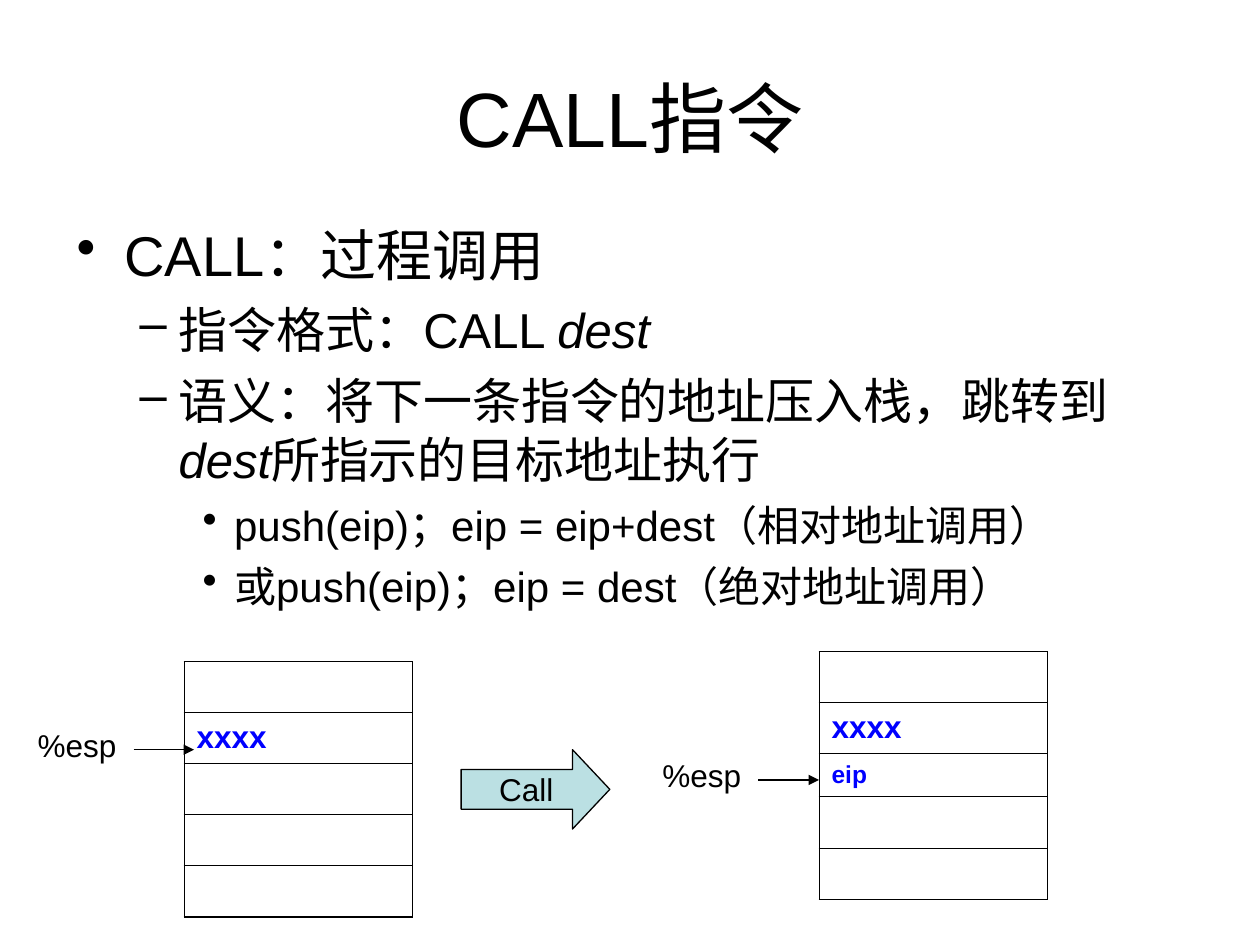
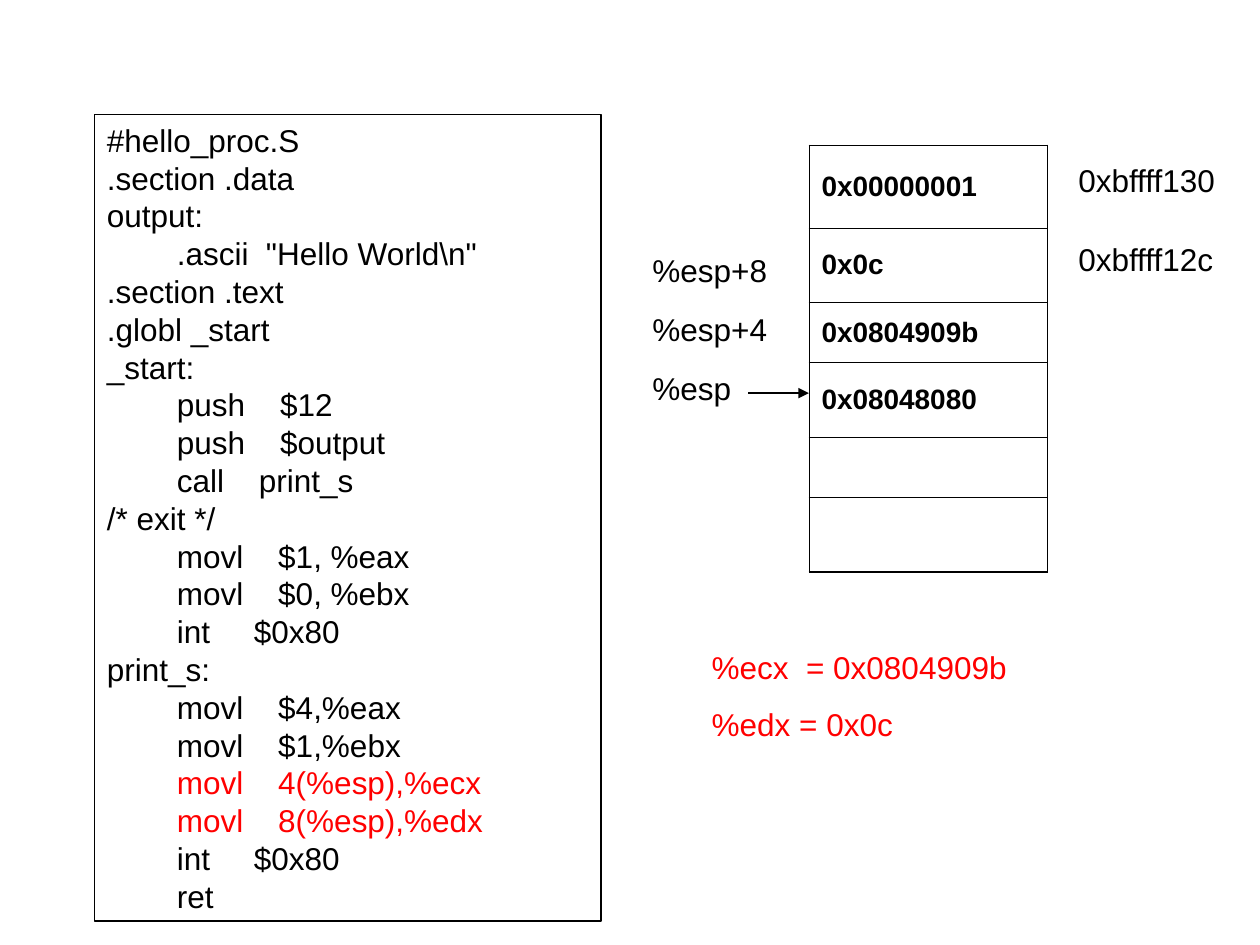
from lxml import etree
from pptx import Presentation
from pptx.dml.color import RGBColor
from pptx.enum.shapes import MSO_CONNECTOR, MSO_SHAPE
from pptx.enum.text import MSO_ANCHOR, PP_ALIGN
from pptx.oxml.ns import qn
from pptx.util import Inches, Pt

RECTANGLE = MSO_SHAPE.RECTANGLE
RIGHT_ARROW = MSO_SHAPE.RIGHT_ARROW
STRAIGHT = MSO_CONNECTOR.STRAIGHT
TOP, MIDDLE = MSO_ANCHOR.TOP, MSO_ANCHOR.MIDDLE
LEFT, CENTER = PP_ALIGN.LEFT, PP_ALIGN.CENTER

FONT = "Arial"
COLORS = {"black": "000000", "blue": "0000FF", "red": "FF0000", "arrow": "BBE0E3"}
LABEL_HEIGHT = 0.4

# Per level: bullet, left margin, hanging indent (inches), size, space before (points)
LEVELS = [("•", 0.38, 0.38, 32, 8), ("–", 0.81, 0.31, 28, 7), ("•", 1.25, 0.25, 24, 6)]

# Each bullet is a level and its runs; the operand "dest" is set in italics
CALL_BULLETS = [
    (0, ["CALL：过程调用"]),
    (1, ["指令格式：CALL ", "dest"]),
    (1, ["语义：将下一条指令的地址压入栈，跳转到", "dest", "所指示的目标地址执行"]),
    (2, ["push(eip)；eip = eip+dest（相对地址调用）"]),
    (2, ["或push(eip)；eip = dest（绝对地址调用）"]),
]

CODE = r"""#hello_proc.S
.section .data
output:
        .ascii  "Hello World\n"
.section .text
.globl _start
_start:
        push    $12
        push    $output
        call    print_s
/* exit */
        movl    $1, %eax
        movl    $0, %ebx
        int     $0x80
print_s:
        movl    $4,%eax
        movl    $1,%ebx
        movl    4(%esp),%ecx
        movl    8(%esp),%edx
        int     $0x80
        ret"""


def rgb(name):
    return RGBColor.from_string(COLORS[name])


def style(paragraph, size=18, color="black", bold=False, align=LEFT):
    paragraph.alignment = align
    font = paragraph.font
    font.name, font.size, font.bold = FONT, Pt(size), bold
    font.color.rgb = rgb(color)


def add_text(slide, left, top, width, height, lines, gap=0, anchor=TOP, **look):
    """Add a text box with one paragraph per line, gap points apart."""
    box = slide.shapes.add_textbox(Inches(left), Inches(top), Inches(width), Inches(height))
    frame = box.text_frame
    frame.word_wrap = True
    frame.vertical_anchor = anchor
    for index, line in enumerate(lines):
        paragraph = frame.add_paragraph() if index else frame.paragraphs[0]
        paragraph.text = line
        if index:
            paragraph.space_before = Pt(gap)
        style(paragraph, **look)


def add_label(slide, left, top, text, width=0.87):
    add_text(slide, left, top, width, LABEL_HEIGHT, [text])


def add_preset(slide, kind, left, top, width, height):
    shape = slide.shapes.add_shape(kind, Inches(left), Inches(top), Inches(width), Inches(height))
    shape.shadow.inherit = False
    shape.line.color.rgb = rgb("black")
    shape.line.width = Pt(0.75)
    return shape


def add_pointer(slide, left, top):
    """Add the %esp label with an arrow leading right from it."""
    add_label(slide, left, top, "%esp")
    start, y = left + 0.86, top + 0.24
    arrow = slide.shapes.add_connector(
        STRAIGHT, Inches(start), Inches(y), Inches(start + 0.48), Inches(y))
    arrow.line.color.rgb = rgb("black")
    arrow.line.width = Pt(0.75)
    etree.SubElement(arrow.line._get_or_add_ln(), qn("a:tailEnd"), type="triangle")
    etree.SubElement(arrow._element.spPr, qn("a:effectLst"))


def set_borders(cell, is_last):
    properties = cell._tc.get_or_add_tcPr()
    for index, side in enumerate(("lnL", "lnR", "lnT", "lnB")):
        width = 1.08 if is_last and side == "lnB" else 0.45
        line = etree.Element(qn(f"a:{side}"), w=str(Pt(width)))
        fill = etree.SubElement(line, qn("a:solidFill"))
        etree.SubElement(fill, qn("a:srgbClr"), val=COLORS["black"])
        properties.insert(index, line)


def add_stack(slide, left, top, width, heights, words, color):
    """Add a one-column memory stack; words maps a row to its text and size."""
    rows = len(heights)
    frame = slide.shapes.add_table(
        rows, 1, Inches(left), Inches(top), Inches(width), Inches(sum(heights)))
    table = frame.table
    table.first_row = table.horz_banding = False
    for row, height in enumerate(heights):
        table.rows[row].height = Inches(height)
        cell = table.cell(row, 0)
        cell.fill.background()
        cell.vertical_anchor = MIDDLE
        set_borders(cell, row == rows - 1)
        if row in words:
            text, size = words[row]
            paragraph = cell.text_frame.paragraphs[0]
            paragraph.text = text
            style(paragraph, size, color, bold=True)


def add_title(slide, text):
    add_text(slide, 0.5, 0.3, 9, 1.25, [text], anchor=MIDDLE, size=44, align=CENTER)


def add_bullets(slide, left, top, width, height, bullets):
    box = slide.shapes.add_textbox(Inches(left), Inches(top), Inches(width), Inches(height))
    frame = box.text_frame
    frame.word_wrap = True
    for index, (level, texts) in enumerate(bullets):
        mark, margin, hanging, size, space = LEVELS[level]
        paragraph = frame.add_paragraph() if index else frame.paragraphs[0]
        paragraph.level = level
        if index:
            paragraph.space_before = Pt(space)
        properties = paragraph._p.get_or_add_pPr()
        properties.set("marL", str(Inches(margin)))
        properties.set("indent", str(-Inches(hanging)))
        etree.SubElement(properties, qn("a:buChar"), char=mark)
        style(paragraph, size)
        for text in texts:
            run = paragraph.add_run()
            run.text = text
            if text == "dest":
                run.font.italic = True


def add_call_arrow(slide, left, top):
    arrow = add_preset(slide, RIGHT_ARROW, left, top, 1.18, 0.63)
    arrow.adjustments[0], arrow.adjustments[1] = 0.5, 0.47
    arrow.fill.solid()
    arrow.fill.fore_color.rgb = rgb("arrow")
    arrow.text_frame.word_wrap = False
    paragraph = arrow.text_frame.paragraphs[0]
    paragraph.text = "Call"
    style(paragraph, align=CENTER)


def add_code(slide, left, top, width, height):
    box = add_preset(slide, RECTANGLE, left, top, width, height)
    box.fill.background()
    frame = box.text_frame
    frame.word_wrap = True
    frame.vertical_anchor = TOP
    for index, line in enumerate(CODE.splitlines()):
        paragraph = frame.add_paragraph() if index else frame.paragraphs[0]
        paragraph.text = line
        paragraph.line_spacing = Pt(21.6)
        style(paragraph, color="red" if "(%esp)" in line else "black")


def build_call_slide(slide):
    add_title(slide, "CALL 指令".replace(" ", ""))
    add_bullets(slide, 0.51, 1.7, 9, 3.39, CALL_BULLETS)
    add_stack(slide, 1.46, 5.25, 1.81, [0.4, 0.41, 0.38, 0.41, 0.41],
              {1: ("xxxx", 18)}, "blue")
    add_pointer(slide, 0.2, 5.71)
    add_call_arrow(slide, 3.66, 5.95)
    add_stack(slide, 6.5, 5.17, 1.81, [0.4, 0.41, 0.34, 0.41, 0.41],
              {1: ("xxxx", 18), 2: ("eip", 14)}, "blue")
    add_pointer(slide, 5.16, 5.95)


def build_program_slide(slide):
    add_code(slide, 0.75, 0.91, 4.02, 6.4)
    stack_words = ["0x00000001", "0x0c", "0x0804909b", "0x08048080"]
    add_stack(slide, 6.42, 1.15, 1.89, [0.66, 0.59, 0.48, 0.59, 0.48, 0.59],
              {row: (word, 16) for row, word in enumerate(stack_words)}, "black")
    for row, address in enumerate(["0xbffff130", "0xbffff12c"]):
        add_label(slide, 8.46, 1.23 + 0.63 * row, address, width=1.34)
    for row, offset in enumerate(["%esp+8", "%esp+4"]):
        add_label(slide, 5.08, 1.94 + 0.47 * row, offset, width=1.26)
    add_pointer(slide, 5.08, 2.88)
    add_text(slide, 5.55, 5.09, 3.15, 0.86, ["%ecx  = 0x0804909b", "%edx = 0x0c"],
             gap=11.2, color="red")


def main():
    presentation = Presentation()
    presentation.slide_width, presentation.slide_height = Inches(10), Inches(7.5)
    blank = presentation.slide_layouts[6]
    for build in (build_call_slide, build_program_slide):
        build(presentation.slides.add_slide(blank))
    presentation.save("out.pptx")


if __name__ == "__main__":
    main()
